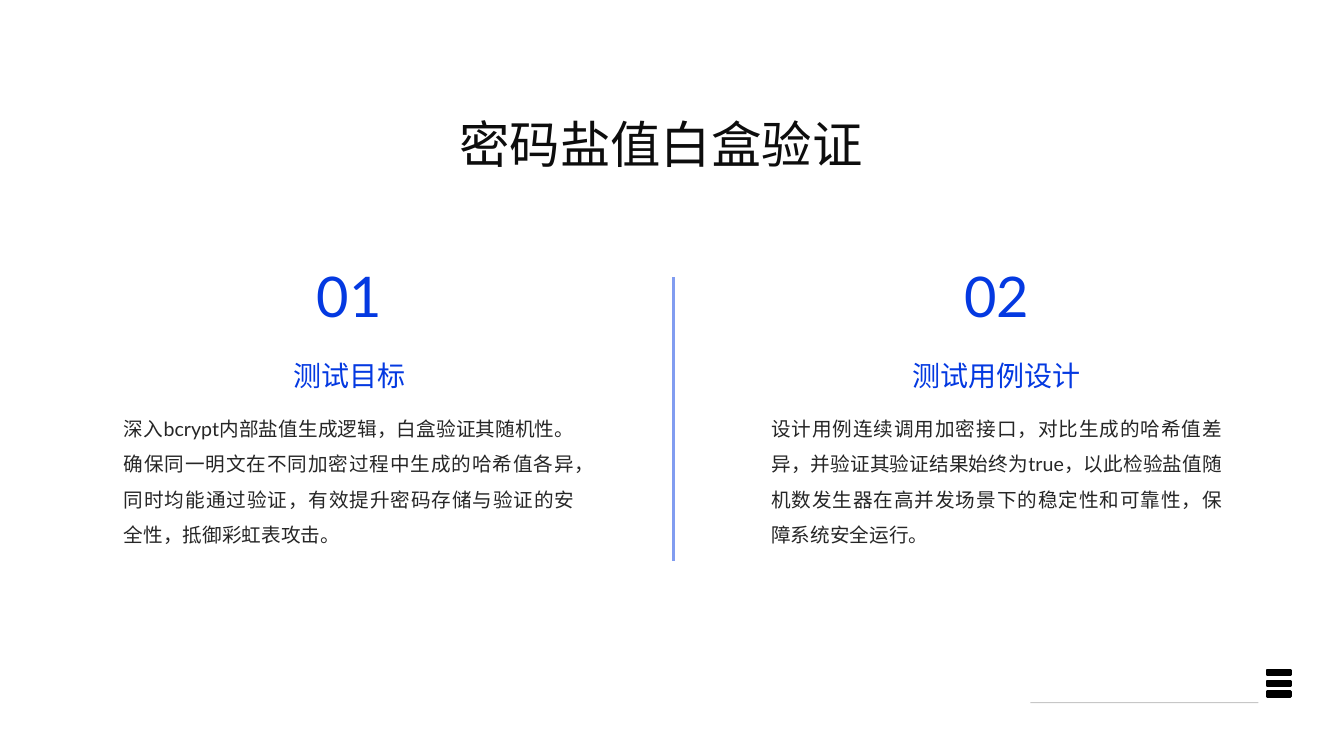
from lxml import etree
from pptx import Presentation
from pptx.dml.color import RGBColor
from pptx.enum.lang import MSO_LANGUAGE_ID
from pptx.enum.shapes import MSO_CONNECTOR, MSO_SHAPE
from pptx.enum.text import MSO_ANCHOR, PP_ALIGN
from pptx.oxml.ns import qn
from pptx.util import Inches, Pt

STRAIGHT = MSO_CONNECTOR.STRAIGHT
RECT = MSO_SHAPE.RECTANGLE
TOP = MSO_ANCHOR.TOP
CENTER, JUSTIFY = PP_ALIGN.CENTER, PP_ALIGN.JUSTIFY
CHINESE = MSO_LANGUAGE_ID.SIMPLIFIED_CHINESE

INK = RGBColor(0x0D, 0x0D, 0x0D)
BODY = RGBColor(0x26, 0x26, 0x26)
BLUE = RGBColor(0x04, 0x39, 0xE1)
DIVIDER = RGBColor(0x81, 0x9C, 0xF0)
BLACK = RGBColor(0, 0, 0)

FONT = "Lato"
WIDTH, HEIGHT = 13.33, 7.5
COLUMN_WIDTH, COLUMN_TOP = 5.47, 2.59
COLUMN_LEFTS = (0.73, 7.15)

TITLE_STYLE = {"size": Pt(36), "color": INK, "align": CENTER, "spacing": 1.5}
NUMBER_STYLE = {"size": Pt(40), "color": BLUE, "align": CENTER, "spacing": None}
HEADING_STYLE = {"size": Pt(20), "color": BLUE, "align": CENTER, "spacing": None}
BODY_STYLE = {"size": Pt(14), "color": BODY, "align": JUSTIFY, "spacing": 1.5}

COLUMNS = [
    ("01", "测试目标",
     "深入bcrypt内部盐值生成逻辑，白盒验证其随机性。确保同一明文在不同加密过程中"
     "生成的哈希值各异，同时均能通过验证，有效提升密码存储与验证的安全性，抵御彩虹表攻击。"),
    ("02", "测试用例设计",
     "设计用例连续调用加密接口，对比生成的哈希值差异，并验证其验证结果始终为true，"
     "以此检验盐值随机数发生器在高并发场景下的稳定性和可靠性，保障系统安全运行。"),
]


def add_text(s, box, text, style):
    tf = s.shapes.add_textbox(*map(Inches, box)).text_frame
    frame = {"word_wrap": True, "vertical_anchor": TOP, "margin_left": 0,
             "margin_right": 0, "margin_top": 0, "margin_bottom": 0}
    for name, value in frame.items():
        setattr(tf, name, value)
    p = tf.paragraphs[0]
    p.alignment = style["align"]
    p.line_spacing = style["spacing"]
    r = p.add_run()
    r.text = text
    for name, value in {"name": FONT, "size": style["size"], "language_id": CHINESE}.items():
        setattr(r.font, name, value)
    r.font.color.rgb = style["color"]
    etree.SubElement(r.font._element, qn("a:ea"), typeface=FONT)


def add_rule(s, start, end, color, width, alpha=None):
    line = s.shapes.add_connector(STRAIGHT, *map(Inches, start + end))
    line.line.color.rgb = color
    line.line.width = Pt(width)
    if alpha:
        fill = line._element.spPr.find(".//" + qn("a:srgbClr"))
        etree.SubElement(fill, qn("a:alpha"), val=str(alpha * 1000))
    etree.SubElement(line._element.spPr, qn("a:effectLst"))


def add_column(s, left, top, width, number, heading, body):
    number_width, body_width = 0.96, 4.47
    add_text(s, (left + (width - number_width) / 2, top, number_width, 0.76),
             number, NUMBER_STYLE)
    add_text(s, (left, top + 0.97, width, 0.42), heading, HEADING_STYLE)
    add_text(s, (left + (width - body_width) / 2, top + 1.43, body_width, 2.32),
             body, BODY_STYLE)


def add_corner_menu(s, left, top):
    add_rule(s, (left, top + 0.32), (left + 2.26, top + 0.32), BLACK, 0.75, 22)
    for i in range(3):
        box = (left + 2.35, top + i * 0.105, 0.23, 0.05)
        bar = s.shapes.add_shape(RECT, *map(Inches, box))
        bar.shadow.inherit = False
        bar.fill.solid()
        bar.fill.fore_color.rgb = BLACK
        bar.line.color.rgb = BLACK
        bar.line.width = Pt(1.5)


def main():
    prs = Presentation()
    prs.slide_width, prs.slide_height = Inches(WIDTH), Inches(HEIGHT)
    s = prs.slides.add_slide(prs.slide_layouts[6])
    add_text(s, (0.73, 0.82, 11.65, 0.9), "密码盐值白盒验证", TITLE_STYLE)
    add_rule(s, (6.68, 2.75), (6.68, 5.57), DIVIDER, 1.5)
    add_corner_menu(s, 10.22, 6.65)
    for left, content in zip(COLUMN_LEFTS, COLUMNS):
        add_column(s, left, COLUMN_TOP, COLUMN_WIDTH, *content)
    prs.save("out.pptx")


if __name__ == "__main__":
    main()
